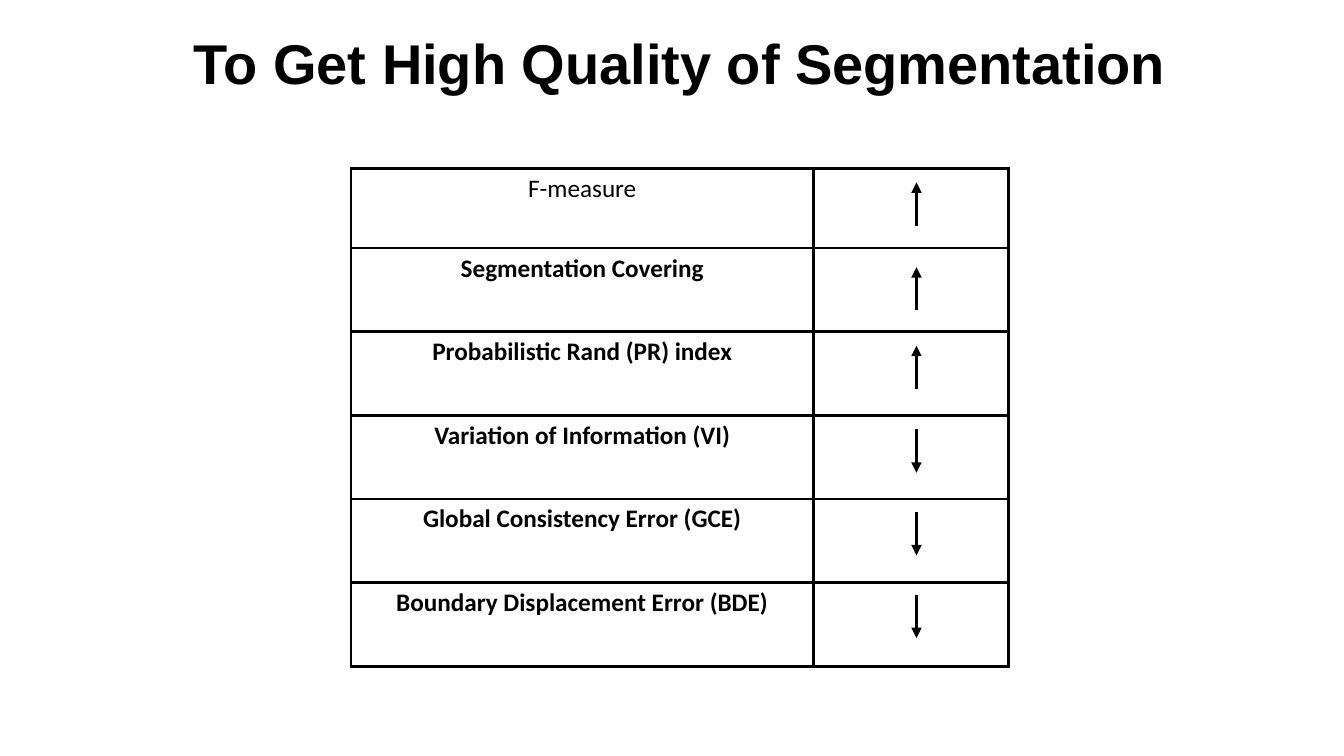
"""Build the slide on which measures rise or fall with segmentation quality."""
from lxml import etree
from pptx import Presentation
from pptx.dml.color import RGBColor
from pptx.enum.shapes import MSO_CONNECTOR
from pptx.enum.text import MSO_ANCHOR, PP_ALIGN
from pptx.oxml import parse_xml
from pptx.oxml.ns import nsdecls, qn
from pptx.util import Inches, Pt

CENTER = PP_ALIGN.CENTER
TOP = MSO_ANCHOR.TOP
MIDDLE = MSO_ANCHOR.MIDDLE
STRAIGHT = MSO_CONNECTOR.STRAIGHT
BLACK = "000000"
WHITE = "FFFFFF"
ARROW_X, ARROW_LENGTH = 9.09, 0.43
ROW_HEIGHTS = [0.79] + [0.83] * 5
MEASURES = [
    ("F-measure", "up", 1.81),
    ("Segmentation Covering", "up", 2.65),
    ("Probabilistic Rand (PR) index", "up", 3.43),
    ("Variation of Information (VI)", "down", 4.26),
    ("Global Consistency Error (GCE)", "down", 5.08),
    ("Boundary Displacement Error (BDE)", "down", 5.9),
]


def color(value):
    return RGBColor.from_string(value)


def add_borders(cell):
    tcPr = cell._tc.get_or_add_tcPr()
    for i, side in enumerate(("lnL", "lnR", "lnT", "lnB")):
        tcPr.insert(i, parse_xml(
            f'<a:{side} {nsdecls("a")} w="{Pt(2.25)}"><a:solidFill>'
            f'<a:srgbClr val="{BLACK}"/></a:solidFill></a:{side}>'))


prs = Presentation()
prs.slide_width, prs.slide_height = Inches(13.33), Inches(7.5)
s = prs.slides.add_slide(prs.slide_layouts[5])

title = s.shapes.title
title.left, title.top = Inches(1.44), Inches(0.23)
title.width, title.height = Inches(10.6), Inches(0.77)
tf = title.text_frame
tf.text = "To Get High Quality of Segmentation"
tf.vertical_anchor = MIDDLE
p = tf.paragraphs[0]
p.alignment = CENTER
r = p.runs[0]
r.font.name, r.font.size, r.font.bold = "Arial", Pt(40), True
r.font.color.rgb = color(BLACK)

table = s.shapes.add_table(len(MEASURES), 2, Inches(3.48), Inches(1.67),
                           Inches(6.52), Inches(sum(ROW_HEIGHTS))).table
table.first_row = table.horz_banding = False
for column, width in zip(table.columns, (4.59, 1.93)):
    column.width = Inches(width)

for i, (measure, direction, top) in enumerate(MEASURES):
    table.rows[i].height = Inches(ROW_HEIGHTS[i])
    for cell in table.rows[i].cells:
        cell.fill.solid()
        cell.fill.fore_color.rgb = color(WHITE)
        cell.vertical_anchor = TOP
        add_borders(cell)
    p = table.cell(i, 0).text_frame.paragraphs[0]
    p.text = measure
    p.alignment = CENTER
    r = p.runs[0]
    r.font.name, r.font.size, r.font.bold = "Calibri", Pt(18), i > 0
    r.font.color.rgb = color(BLACK)

    start, end = top, top + ARROW_LENGTH
    if direction == "up":
        start, end = end, start
    arrow = s.shapes.add_connector(STRAIGHT, Inches(ARROW_X), Inches(start),
                                   Inches(ARROW_X), Inches(end))
    arrow.line.color.rgb = color(BLACK)
    arrow.line.width = Pt(2.5)
    etree.SubElement(arrow.line._get_or_add_ln(), qn("a:tailEnd"), type="triangle")
    etree.SubElement(arrow._element.spPr, qn("a:effectLst"))

prs.save("out.pptx")
